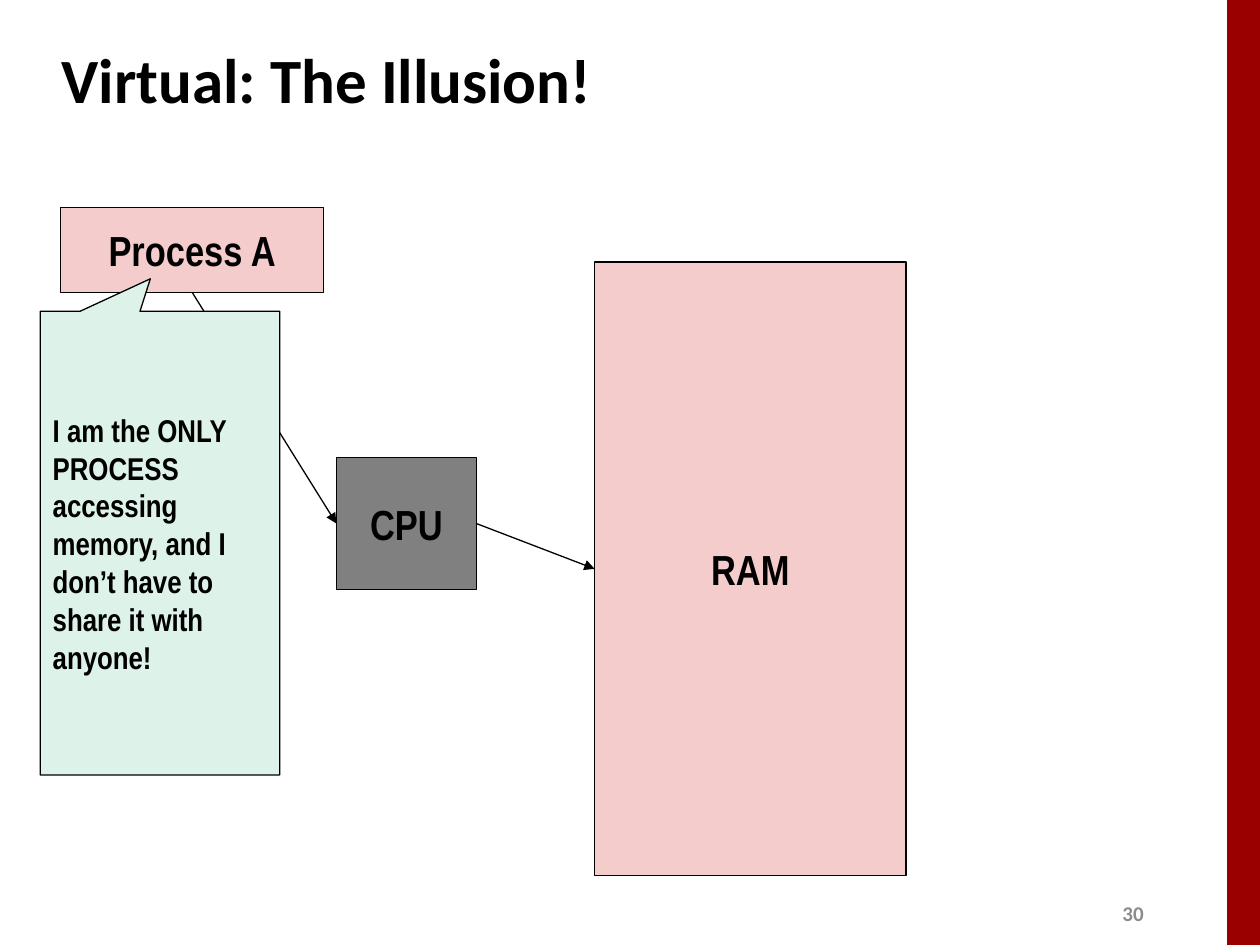
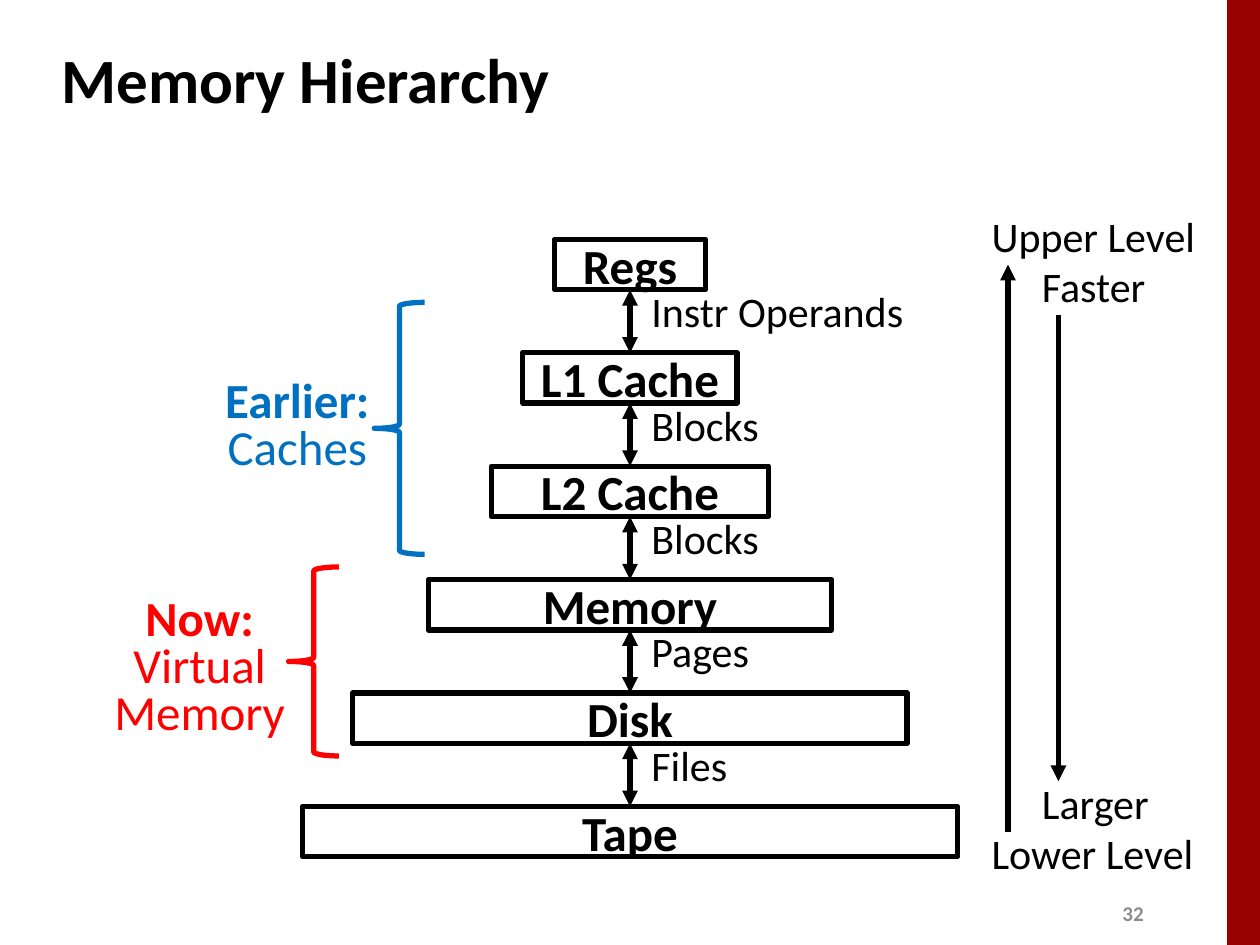
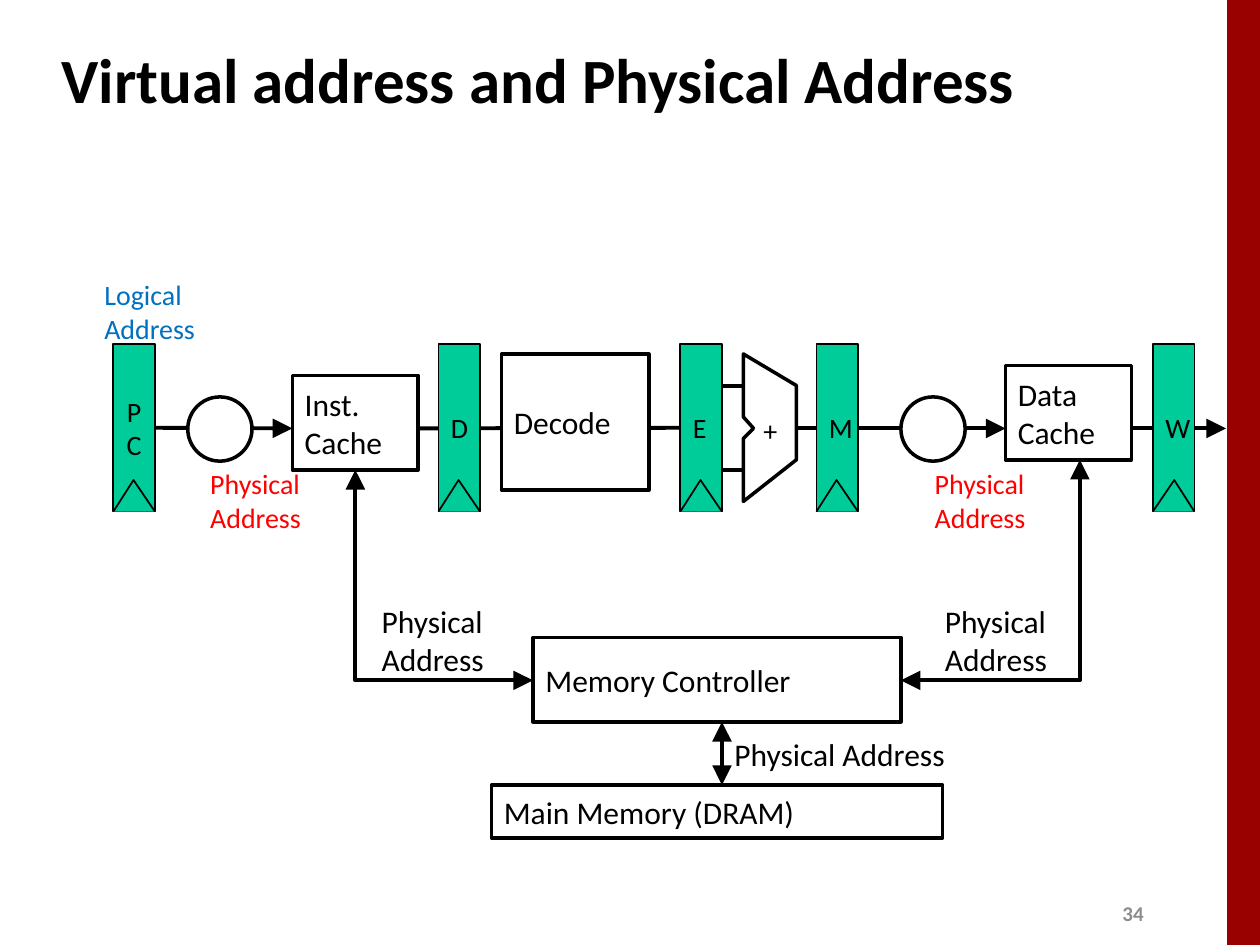
import pptx
import pptx.util
import pptx.dml.color
import pptx.enum.shapes
import pptx.enum.text
import pptx.oxml
import pptx.oxml.ns

PX = 9144  # EMU per px, 100 px to the inch
SLIDE_W, SLIDE_H = 1000, 750
BODY_FONT, NARROW_FONT = "Calibri", "Arial Narrow"
BLACK, WHITE, RED, BLUE = "000000", "FFFFFF", "FF0000", "0070C0"
BAND_RED, PAGE_GREY = "990000", "8C8C8C"
PINK, CPU_GREY, MINT, GREEN = "F4CCCC", "808080", "DDF3EA", "00CC99"

KIND = pptx.enum.shapes.MSO_SHAPE
ALIGN = pptx.enum.text.PP_ALIGN
ANCHOR = pptx.enum.text.MSO_ANCHOR


def color(hex_string):
    return pptx.dml.color.RGBColor.from_string(hex_string)


def px(*lengths):
    return [pptx.util.Emu(round(length * PX)) for length in lengths]


# --- Elements -------------------------------------------------------------

def style(shape, fill=None, line=None, weight=1):
    shape.shadow.inherit = False
    if fill:
        shape.fill.solid()
        shape.fill.fore_color.rgb = color(fill)
    else:
        shape.fill.background()
    if line:
        shape.line.width = pptx.util.Pt(weight)
        shape.line.color.rgb = color(line)
    else:
        shape.line.fill.background()
    return shape


def write(shape, text, size, ink=BLACK, bold=False, font=BODY_FONT, align=ALIGN.LEFT,
          anchor=ANCHOR.MIDDLE, insets=(10, 5), spacing=None):
    """Fill a shape with text, one paragraph a line."""
    frame = shape.text_frame
    frame.word_wrap = True
    frame.vertical_anchor = anchor
    frame.margin_left = frame.margin_right = px(insets[0])[0]
    frame.margin_top = frame.margin_bottom = px(insets[1])[0]
    frame.text = text
    for paragraph in frame.paragraphs:
        paragraph.alignment = align
        paragraph.line_spacing = spacing
        paragraph.font.name = font
        paragraph.font.size = pptx.util.Pt(size)
        paragraph.font.bold = bold
        paragraph.font.color.rgb = color(ink)
    return shape


def add_box(slide, box, fill=None, line=BLACK, weight=2, kind=KIND.RECTANGLE):
    return style(slide.shapes.add_shape(kind, *px(*box)), fill, line, weight)


def add_label(slide, box, text, size, **text_style):
    return write(slide.shapes.add_textbox(*px(*box)), text, size, **text_style)


def add_arrowheads(shape, ends, size):
    """Put triangles on the named ends of a line: head, tail or both."""
    outline = shape._element.spPr.find(pptx.oxml.ns.qn("a:ln"))
    for end in ends:
        outline.append(pptx.oxml.parse_xml(
            f'<a:{end}End {pptx.oxml.ns.nsdecls("a")} type="triangle" w="{size}" len="{size}"/>'))


def add_line(slide, start, stop, weight, ends=(), size="med"):
    line = slide.shapes.add_connector(
        pptx.enum.shapes.MSO_CONNECTOR.STRAIGHT, *px(*start, *stop))
    line.line.width = pptx.util.Pt(weight)
    line.line.color.rgb = color(BLACK)
    add_arrowheads(line, ends, size)
    line._element.spPr.append(pptx.oxml.parse_xml(
        f'<a:effectLst {pptx.oxml.ns.nsdecls("a")}/>'))
    return line


def link(slide, source, source_side, target, target_side, weight, ends):
    line = add_line(slide, (0, 0), (0, 0), weight, ends)
    line.begin_connect(source, source_side)
    line.end_connect(target, target_side)


def add_outline(slide, points, weight, fill=None, close=False):
    builder = slide.shapes.build_freeform(*points[0], scale=PX)
    builder.add_line_segments(points[1:], close=close)
    return style(builder.convert_to_shape(), fill, BLACK, weight)


def add_slide(deck, title, number):
    """Start a slide with the side band, page number and title."""
    slide = deck.slides.add_slide(deck.slide_layouts[6])
    add_box(slide, (974, 0, 26, SLIDE_H), BAND_RED, line=None)
    add_label(slide, (881, 710, 40, 30), str(number), 12, ink=PAGE_GREY, bold=True)
    add_label(slide, (39, 21, 830, 83), title, 36, bold=True, insets=(10, 10))
    return slide


# --- Slide: illusion ------------------------------------------------------

def build_illusion(deck):
    slide = add_slide(deck, "Virtual: The Illusion!", 30)

    def add_part(box, fill, text, size=24, align=ALIGN.CENTER, kind=KIND.RECTANGLE):
        part = add_box(slide, box, fill, weight=0.75, kind=kind)
        return write(part, text, size, bold=True, font=NARROW_FONT, align=align,
                     insets=(10, 10))

    cpu = add_part((267, 363, 111, 105), CPU_GREY, "CPU")
    ram = add_part((472, 208, 247, 487), PINK, "RAM")
    process = add_part((48, 165, 209, 67), PINK, "Process A")
    link(slide, process, 2, cpu, 1, 0.75, ["tail"])
    link(slide, cpu, 3, ram, 1, 0.75, ["tail"])
    claim = add_part((32, 247, 190, 368), MINT,
                     "I am the ONLY PROCESS accessing memory, and I don’t have to "
                     "share it with anyone!", 18, ALIGN.LEFT, KIND.RECTANGULAR_CALLOUT)
    claim.adjustments[0] = -0.04
    claim.adjustments[1] = -0.57


# --- Slide: hierarchy -----------------------------------------------------

def add_braced_group(slide, brace_box, label_box, heading, members, ink):
    brace = add_box(slide, brace_box, line=ink, weight=3, kind=KIND.LEFT_BRACE)
    brace.adjustments[0] = 0.08
    label = add_label(slide, label_box, f"{heading}\n{members}", 28, ink=ink,
                      align=ALIGN.CENTER, anchor=ANCHOR.TOP, spacing=0.8)
    label.text_frame.paragraphs[0].font.bold = True


def build_hierarchy(deck):
    slide = add_slide(deck, "Memory Hierarchy", 32)

    def add_note(left, top, width, text):
        add_label(slide, (left, top, width, 46), text, 24, anchor=ANCHOR.TOP,
                  insets=(7, 3), spacing=0.85)

    # Levels, widening downwards, with the unit moved between neighbours
    levels = [("Regs", 120, "Instr Operands"), ("L1 Cache", 170, "Blocks"),
              ("L2 Cache", 220, "Blocks"), ("Memory", 320, "Pages"),
              ("Disk", 440, "Files"), ("Tape", 520, None)]
    center, first_top, pitch, height = 500, 190, 90, 40
    boxes = []
    for i, (name, width, unit) in enumerate(levels):
        top = first_top + i * pitch
        level = add_box(slide, (center - width / 2, top, width, height), weight=3)
        boxes.append(write(level, name, 28, bold=True, align=ALIGN.CENTER, insets=(0, 0)))
        if unit:
            add_note(center + 10, top + height, 256, unit)
    for upper, lower in zip(boxes, boxes[1:]):
        link(slide, upper, 2, lower, 0, 3, ["head", "tail"])

    # Speed and size scales
    for left, top, text in [(780, 170, "Upper Level"), (780, 660, "Lower Level"),
                            (820, 210, "Faster"), (820, 620, "Larger")]:
        add_note(left, top, 204 if left == 780 else 114, text)
    add_line(slide, (800, 660), (800, 210), 3, ["tail"])
    add_line(slide, (840, 250), (840, 620), 3, ["tail"])

    # Course topics
    add_braced_group(slide, (229, 450, 40, 150), (77, 470, 163, 124),
                     "Now:", "Virtual\vMemory", RED)
    add_braced_group(slide, (297, 240, 40, 200), (162, 297, 148, 86),
                     "Earlier:", "Caches", BLUE)


# --- Slide: addresses -----------------------------------------------------

def add_register(slide, left, name, align=ALIGN.LEFT):
    """Add a pipeline register with its clock notch."""
    top, width, height = 273, 33, 133
    bottom = top + height
    register = add_box(slide, (left, top, width, height), GREEN, weight=1)
    write(register, name, 16, align=align)
    add_outline(slide, [(left, bottom), (left + width / 2, bottom - 25),
                        (left + width, bottom)], 1, GREEN)
    return register


def build_addresses(deck):
    slide = add_slide(deck, "Virtual address and Physical Address", 34)
    flow_y, weight = 340, 2.25
    both = ["head", "tail"]

    def add_unit(box, text):
        return write(add_box(slide, box, WHITE), text, 18)

    # Data path behind the stages
    add_line(slide, (632, flow_y), (798, flow_y), weight, ["tail"], "lg")
    add_line(slide, (898, flow_y), (973, flow_y), weight, ["tail"], "lg")
    decode_flow = add_line(slide, (332, flow_y), (540, flow_y), weight)
    fetch_flow = add_line(slide, (123, flow_y), (232, flow_y), weight, ["tail"], "lg")

    # Pipeline registers
    fetch_flow.begin_connect(add_register(slide, 90, "PC", ALIGN.CENTER), 3)
    add_register(slide, 348, "D")
    decode_flow.end_connect(add_register(slide, 540, "E"), 1)
    add_register(slide, 648, "M")
    add_register(slide, 915, "W", ALIGN.CENTER)

    # Units
    add_unit((232, 298, 100, 75), "Inst. Cache")
    add_unit((398, 281, 117, 108), "Decode")
    add_unit((798, 290, 100, 75), "Data Cache")
    add_unit((390, 623, 358, 42), "Main Memory (DRAM)")
    add_unit((423, 506, 292, 67), "Memory Controller")

    # Adder and its two inputs
    add_outline(slide, [(590, 281), (590, 331), (598, 340), (590, 348), (590, 398),
                        (632, 365), (632, 306)], 2, WHITE, close=True)
    for input_y in (306, 373):
        add_line(slide, (573, input_y), (590, input_y), weight)
    add_label(slide, (596, 323, 38, 37), "+", 16)

    # Address translators
    for left in (149, 715):
        add_box(slide, (left, 315, 51, 51), WHITE, kind=KIND.OVAL)

    # Memory traffic
    for cache_x, cache_bottom, controller_x in [(857, 365, 715), (282, 373, 423)]:
        route = add_outline(slide, [(cache_x, cache_bottom), (cache_x, 540),
                                    (controller_x, 540)], weight)
        add_arrowheads(route, both, "lg")
    add_line(slide, (573, 573), (573, 623), weight, both, "lg")

    # Address labels
    add_label(slide, (73, 215, 122, 64), "Logical Address", 16, ink=BLUE)
    for left in (157, 732):
        add_label(slide, (left, 365, 122, 64), "Physical Address", 16, ink=RED)
    for box in [(293, 473, 122, 70), (740, 473, 122, 70), (573, 578, 267, 40)]:
        add_label(slide, box, "Physical Address", 18)


def main():
    deck = pptx.Presentation()
    deck.slide_width, deck.slide_height = px(SLIDE_W, SLIDE_H)
    build_illusion(deck)
    build_hierarchy(deck)
    build_addresses(deck)
    deck.save("out.pptx")


if __name__ == "__main__":
    main()
